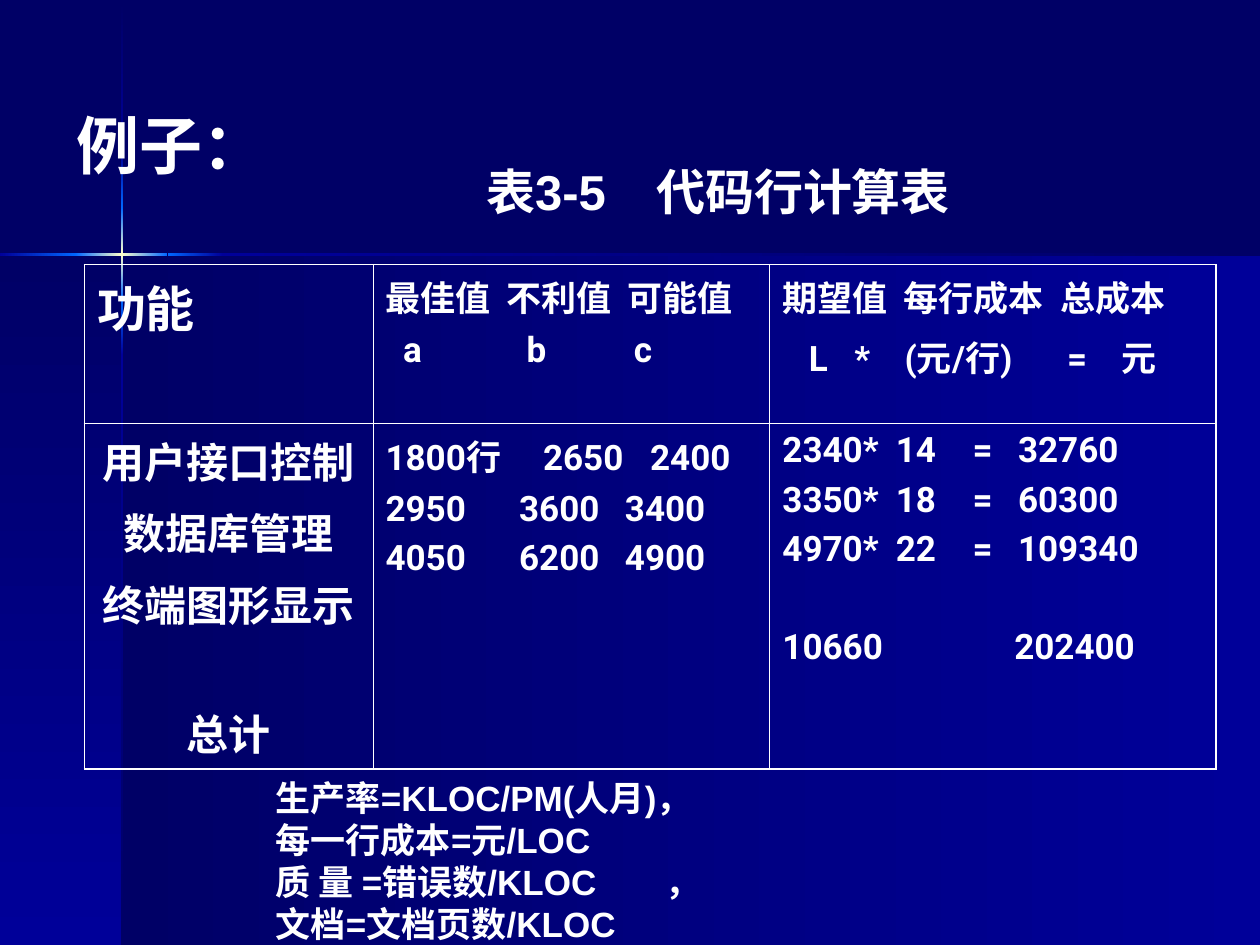
from lxml import etree
from pptx import Presentation
from pptx import util as u
from pptx.dml.color import RGBColor
from pptx.enum import shapes, text
from pptx.oxml import ns

NAVY = RGBColor(0x00, 0x00, 0x66)
BLUE = RGBColor(0x00, 0x00, 0x99)
BRIGHT = RGBColor(0x00, 0x66, 0xFF)
CREAM = RGBColor(0xFF, 0xFF, 0xCC)
WHITE = RGBColor(0xFF, 0xFF, 0xFF)

W, H = 10, 7.5
X, Y, T = 0.97, 2.02, 0.02
VX, HY = X - T / 2, Y - T / 2
GLOW = (BRIGHT, CREAM, BRIGHT)
PANELS = [
    (X, Y, W - X, H - Y, 180, (BLUE, NAVY)),
    (0, Y, X, H - Y, 90, (NAVY, BLUE)),
    (VX, 0.01, T, 1.2, 90, (NAVY, BLUE)),
    (VX, 2.82, T, 4.68, 90, (BLUE, NAVY)),
    (1.77, HY, 8.23, T, 180, (NAVY, BLUE)),
    (VX, 2.38, T, 0.44, 90, (BRIGHT, BLUE)),
    (VX, 1.21, T, 0.44, 90, (BLUE, BRIGHT)),
    (VX, 1.65, T, 0.73, 90, GLOW),
    (0, HY, 0.61, T, 180, (BRIGHT, BLUE)),
    (1.33, HY, 0.44, T, 180, (BLUE, BRIGHT)),
    (0.6, HY, 0.73, T, 180, GLOW),
]

TITLE = "例子："
CAPTION = [("\t表3-5\t代码行计算表", dict(tabs=(0.18, 1.53)))]
NOTES = [
    ("生产率=KLOC/PM(人月)，\v每一行成本=元/LOC", {}),
    ("质 量 =错误数/KLOC\t，\v文档=文档页数/KLOC", dict(tabs=(3.09,))),
]
COLS, ROWS = (2.29, 3.15, 3.54), (1.26, 2.52)
SUMS = dict(tabs=(0.9, 1.51, 1.87))
TABLE = [
    [
        (28, 7, [("功能", {})]),
        (20, 5, [
            ("最佳值\t不利值\t可能值", dict(tabs=(0.96, 1.92))),
            ("\ta\tb\tc", dict(tabs=(0.14, 1.12, 1.97))),
        ]),
        (20, 5, [
            ("期望值\t每行成本\t总成本", dict(tabs=(0.96, 2.21))),
            ("\tL\t*\t(元/行)\t=\t元", dict(tabs=(0.21, 0.57, 0.97, 2.26, 2.69))),
        ]),
    ],
    [
        (24, 6, [(name, dict(align=text.PP_ALIGN.CENTER))
                 for name in ("用户接口控制", "数据库管理", "终端图形显示")]
         + [("总计", dict(align=text.PP_ALIGN.CENTER, before=39))]),
        (20, 5, [
            ("1800行\t2650\t2400", dict(tabs=(1.25, 2.1))),
            ("2950\t3600\t3400", dict(tabs=(1.06, 1.9))),
            ("4050\t6200\t4900", dict(tabs=(1.06, 1.9), before=4.5)),
        ]),
        (20, 5, [
            ("2340*\t14\t=\t32760", SUMS),
            ("3350*\t18\t=\t60300", SUMS),
            ("4970*\t22\t=\t109340", SUMS),
            ("10660\t202400", dict(tabs=(1.84,), before=32)),
        ]),
    ],
]


def sub(parent, tag, **attrs):
    e = etree.SubElement(parent, ns.qn(tag))
    for key, value in attrs.items():
        e.set(key, str(value))
    return e


def write(p, words, size=20, font="Roboto", before=0, tabs=(), align=text.PP_ALIGN.LEFT):
    p.text = words
    p.alignment = align
    p.space_before = u.Pt(before)
    if tabs:
        stops = sub(p._p.get_or_add_pPr(), "a:tabLst")
        for pos in tabs:
            sub(stops, "a:tab", pos=u.Inches(pos), algn="l")
    for r in p.runs:
        r.font.size, r.font.name, r.font.bold = u.Pt(size), font, True
        r.font.color.rgb = WHITE


def fill_frame(tf, lines, **base):
    tf.word_wrap = True
    for i, (words, fmt) in enumerate(lines):
        p = tf.paragraphs[0] if i == 0 else tf.add_paragraph()
        write(p, words, **{**base, **fmt})


def add_panel(s, x, y, w, h, angle, colors):
    sp = s.shapes.add_shape(shapes.MSO_SHAPE.RECTANGLE, *map(u.Inches, (x, y, w, h)))
    sp.shadow.inherit = False
    sp.line.fill.background()
    grad = etree.Element(ns.qn("a:gradFill"), rotWithShape="1")
    stops = sub(grad, "a:gsLst")
    for i, color in enumerate(colors):
        gs = sub(stops, "a:gs", pos=100000 * i // (len(colors) - 1))
        sub(gs, "a:srgbClr", val=color)
    sub(grad, "a:lin", ang=angle * 60000, scaled=0)
    sp._element.spPr.find(ns.qn("a:prstGeom")).addnext(grad)


def add_text(s, box, lines, **base):
    sp = s.shapes.add_textbox(*map(u.Inches, box))
    fill_frame(sp.text_frame, lines, font="Arial", **base)
    sp.text_frame.auto_size = text.MSO_AUTO_SIZE.SHAPE_TO_FIT_TEXT


def set_borders(cell, **edges):
    tcPr = cell._tc.get_or_add_tcPr()
    for i, (side, outer) in enumerate(edges.items()):
        ln = etree.Element(ns.qn("a:ln" + side), w=str(u.Pt(1.08 if outer else 0.45)))
        sub(sub(ln, "a:solidFill"), "a:srgbClr", val=WHITE)
        tcPr.insert(i, ln)


def add_cost_table(s):
    box = (0.67, 2.1, sum(COLS), sum(ROWS))
    table = s.shapes.add_table(len(ROWS), len(COLS), *map(u.Inches, box)).table
    table.first_row = table.horz_banding = False
    for col, width in zip(table.columns, COLS):
        col.width = u.Inches(width)
    for j, height in enumerate(ROWS):
        table.rows[j].height = u.Inches(height)
        for i, (size, before, lines) in enumerate(TABLE[j]):
            cell = table.cell(j, i)
            cell.fill.background()
            fill_frame(cell.text_frame, lines, size=size, before=before)
            set_borders(cell, L=i == 0, R=i == len(COLS) - 1,
                        T=j == 0, B=j == len(ROWS) - 1)


def main():
    prs = Presentation()
    prs.slide_width, prs.slide_height = u.Inches(W), u.Inches(H)
    s = prs.slides.add_slide(prs.slide_layouts[5])
    s.background.fill.solid()
    s.background.fill.fore_color.rgb = NAVY
    for panel in PANELS:
        add_panel(s, *panel)
    title = s.shapes.title
    s.shapes._spTree.append(title._element)
    title.left, title.top, title.width, title.height = map(u.Inches, (0.51, 0.36, 8.17, 1.57))
    title.text_frame.vertical_anchor = text.MSO_ANCHOR.MIDDLE
    fill_frame(title.text_frame, [(TITLE, {})], size=36)
    add_cost_table(s)
    add_text(s, (2.09, 6.11, 6.14, 1.44), NOTES)
    add_text(s, (3.58, 1.23, 4.25, 0.57), CAPTION, size=28, before=7)
    prs.save("out.pptx")


if __name__ == "__main__":
    main()
